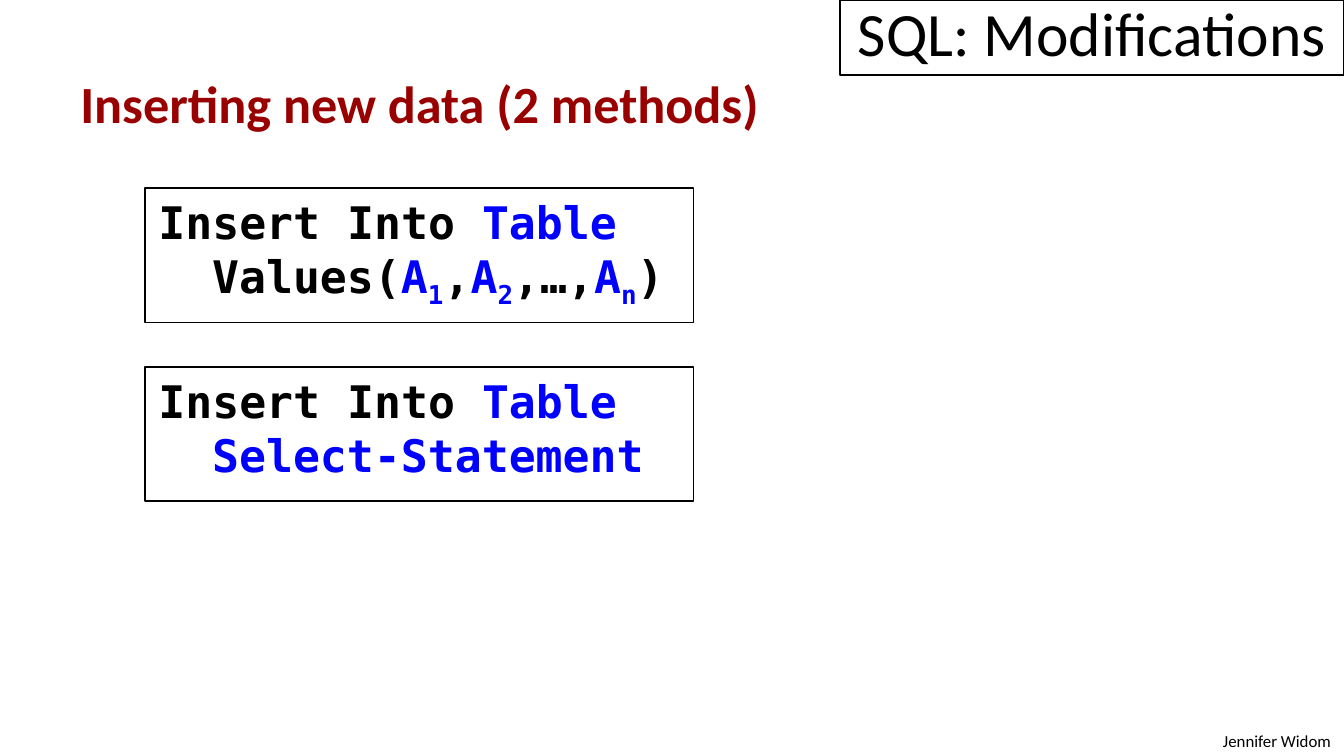
from pptx import Presentation
from pptx.dml.color import RGBColor
from pptx.enum.shapes import MSO_SHAPE
from pptx.enum.text import MSO_ANCHOR, PP_ALIGN
from pptx.util import Inches, Pt

BLACK = RGBColor(0x00, 0x00, 0x00)
BLUE = RGBColor(0x00, 0x00, 0xFF)
DARK_RED = RGBColor(0x99, 0x00, 0x00)
BODY_FONT = "Calibri"
CODE_FONT = "DejaVu Sans Mono"
CODE_INDENT = 0.4
SLIDE_WIDTH = 10


def add_run(paragraph, text, size=24, font=BODY_FONT, color=BLACK, bold=False, subscript=False):
    run = paragraph.add_run()
    run.text = text
    run.font.size = Pt(size)
    run.font.name = font
    run.font.color.rgb = color
    run.font.bold = bold
    if subscript:
        run.font._element.set("baseline", "-25000")


def add_label(slide, text, left, top, width, height, align=PP_ALIGN.LEFT, **style):
    shape = slide.shapes.add_textbox(Inches(left), Inches(top), Inches(width), Inches(height))
    shape.text_frame.word_wrap = True
    paragraph = shape.text_frame.paragraphs[0]
    paragraph.alignment = align
    add_run(paragraph, text, **style)


def add_frame(slide, left, top, width, height, anchor=MSO_ANCHOR.TOP):
    shape = slide.shapes.add_shape(
        MSO_SHAPE.RECTANGLE, Inches(left), Inches(top), Inches(width), Inches(height))
    shape.shadow.inherit = False
    shape.fill.background()
    shape.line.color.rgb = BLACK
    shape.line.width = Pt(0.75)
    shape.text_frame.word_wrap = True
    shape.text_frame.vertical_anchor = anchor
    return shape.text_frame


def add_title(slide, text):
    frame = add_frame(slide, 6.25, 0, 3.75, 0.56, anchor=MSO_ANCHOR.BOTTOM)
    paragraph = frame.paragraphs[0]
    paragraph.alignment = PP_ALIGN.CENTER
    add_run(paragraph, text, size=33)


def add_code_box(slide, top, clause):
    frame = add_frame(slide, 1.08, top, 4.08, 1)
    first_line = [("Insert Into ", {}), ("Table", {"color": BLUE})]
    for paragraph, parts, indent in (
        (frame.paragraphs[0], first_line, 0),
        (frame.add_paragraph(), clause, CODE_INDENT),
    ):
        paragraph.alignment = PP_ALIGN.LEFT
        paragraph._p.get_or_add_pPr().set("marL", str(Inches(indent)))
        for text, style in parts:
            add_run(paragraph, text, font=CODE_FONT, bold=True, **style)


def values_clause():
    parts = [("Values(", {})]
    for index, separator in (("1", ","), ("2", ",…,"), ("n", ")")):
        parts += [
            ("A", {"color": BLUE}),
            (index, {"color": BLUE, "subscript": True}),
            (separator, {}),
        ]
    return parts


def main():
    presentation = Presentation()
    presentation.slide_width = Inches(SLIDE_WIDTH)
    presentation.slide_height = Inches(SLIDE_WIDTH * 9 / 16)
    slide = presentation.slides.add_slide(presentation.slide_layouts[6])

    add_label(slide, "Jennifer Widom", 8.92, 5.39, 1.08, 0.25, align=PP_ALIGN.RIGHT, size=9)
    add_code_box(slide, 1.4, values_clause())
    add_title(slide, "SQL: Modifications")
    add_label(slide, "Inserting new data (2 methods)", 0.5, 0.48, 5.33, 0.57,
              size=28, color=DARK_RED, bold=True)
    add_code_box(slide, 2.73, [("Select-Statement", {"color": BLUE})])

    presentation.save("out.pptx")


if __name__ == "__main__":
    main()
